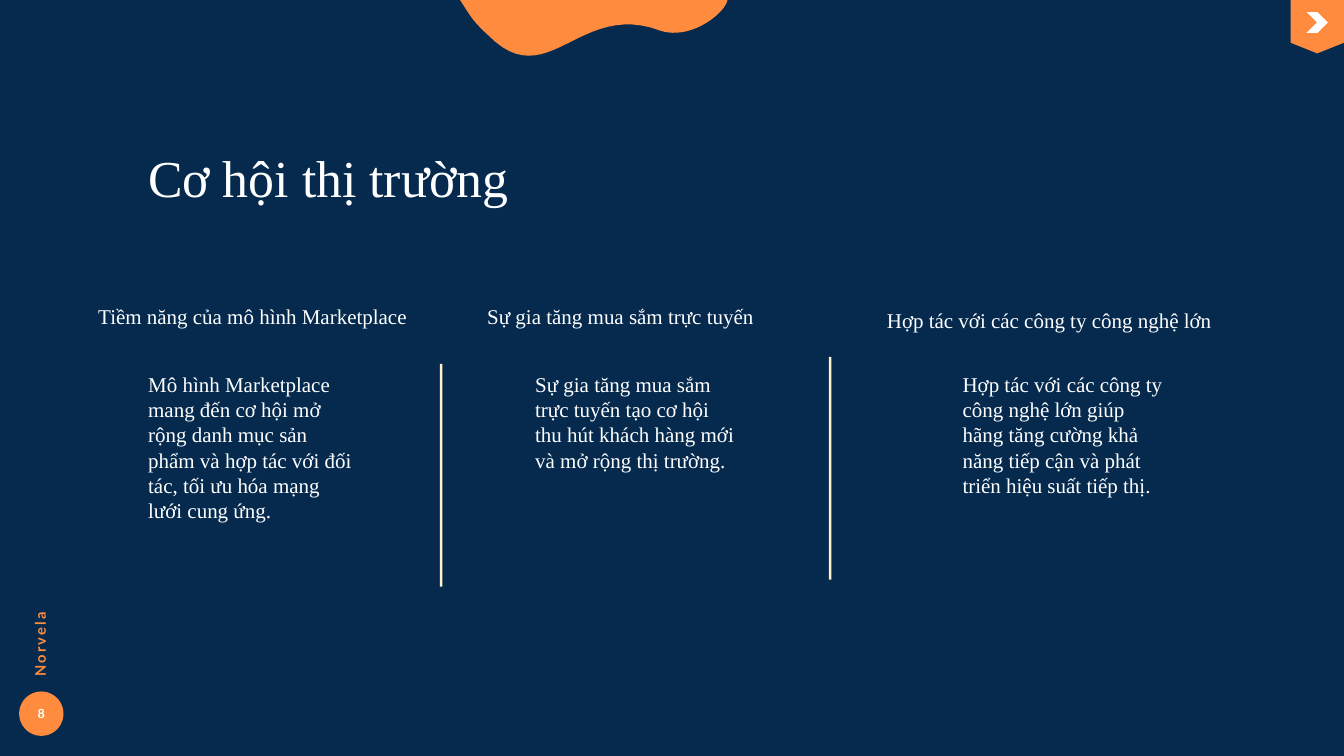
from dataclasses import dataclass

from pptx import Presentation
from pptx.dml.color import RGBColor
from pptx.enum.shapes import MSO_SHAPE
from pptx.enum.text import MSO_ANCHOR, MSO_AUTO_SIZE, PP_ALIGN
from pptx.util import Inches, Pt

TITLE_ONLY = 5
RECTANGLE = MSO_SHAPE.RECTANGLE
OVAL = MSO_SHAPE.OVAL
CHEVRON = MSO_SHAPE.CHEVRON
BOOKMARK = MSO_SHAPE.FLOWCHART_OFFPAGE_CONNECTOR
TOP, MIDDLE = MSO_ANCHOR.TOP, MSO_ANCHOR.MIDDLE
LEFT, CENTER = PP_ALIGN.LEFT, PP_ALIGN.CENTER
NO_FIT, GROW = MSO_AUTO_SIZE.NONE, MSO_AUTO_SIZE.SHAPE_TO_FIT_TEXT


@dataclass(frozen=True)
class Theme:
    navy: str = "052A4E"
    orange: str = "FF8C3E"
    cream: str = "FFF0CE"
    white: str = "FFFFFF"
    serif: str = "Times New Roman"
    sans: str = "Lato"
    title_size: int = 74
    text_size: int = 30
    label_size: int = 21
    number_size: int = 18


THEME = Theme()

# Heading, heading left and top, body, body left and width
COLUMNS = [
    ("Tiềm năng của mô hình Marketplace", 1.85, 6.03,
     "Mô hình Marketplace mang đến cơ hội mở rộng danh mục sản phẩm "
     "và hợp tác với đối tác, tối ưu hóa mạng lưới cung ứng.", 2.94, 4.11),
    ("Sự gia tăng mua sắm trực tuyến", 9.57, 6.03,
     "Sự gia tăng mua sắm trực tuyến tạo cơ hội thu hút khách hàng mới "
     "và mở rộng thị trường.", 10.62, 3.98),
    ("Hợp tác với các công ty công nghệ lớn", 17.5, 6.11,
     "Hợp tác với các công ty công nghệ lớn giúp hãng tăng cường khả năng "
     "tiếp cận và phát triển hiệu suất tiếp thị.", 19.1, 3.98),
]
DIVIDERS = [(8.73, 7.22), (16.45, 7.08)]

# Blob outline: each curve is two control points and an end point
BLOB_START = (14.44, -0.03)
BLOB_CURVES = [
    ((14.44, 0.22), (13.73, 0.81), (13.11, 0.61)),
    ((11.49, -0.01), (10.87, 1.91), (9.68, 0.69)),
    ((9.35, 0.39), (9.31, 0.27), (9.11, -0.03)),
]
CURVE_STEPS = 24


def paint(shape, color):
    shape.shadow.inherit = False
    shape.fill.solid()
    shape.fill.fore_color.rgb = RGBColor.from_string(color)
    shape.line.fill.background()


def add_block(slide, preset, left, top, width, height, color):
    block = slide.shapes.add_shape(
        preset, Inches(left), Inches(top), Inches(width), Inches(height))
    paint(block, color)
    return block


def write(shape, text, size, font=THEME.serif, color=THEME.white, bold=False,
          align=LEFT, anchor=TOP, margin=0.0, fit=NO_FIT, spacing=1.0):
    frame = shape.text_frame
    frame.text = text
    frame.word_wrap = True
    frame.auto_size = fit
    frame.vertical_anchor = anchor
    frame.margin_left = frame.margin_right = Inches(margin)
    frame.margin_top = frame.margin_bottom = Inches(margin / 2)
    paragraph = frame.paragraphs[0]
    paragraph.alignment = align
    paragraph.line_spacing = spacing
    paragraph.font.name = font
    paragraph.font.size = Pt(size)
    paragraph.font.bold = bold
    paragraph.font.color.rgb = RGBColor.from_string(color)
    return paragraph


def add_text(slide, left, top, width, height, text, size, **style):
    box = slide.shapes.add_textbox(
        Inches(left), Inches(top), Inches(width), Inches(height))
    write(box, text, size, **style)
    return box


def add_title(slide, text):
    title = slide.shapes.title
    title.left, title.top = Inches(2.94), Inches(2.9)
    title.width, title.height = Inches(10.08), Inches(2.52)
    write(title, text, THEME.title_size)


def curve_points(start, first, second, end):
    for step in range(1, CURVE_STEPS + 1):
        t = step / CURVE_STEPS
        u = 1 - t
        yield tuple(
            Inches(u**3 * a + 3 * u * u * t * b + 3 * u * t * t * c + t**3 * d)
            for a, b, c, d in zip(start, first, second, end))


def add_blob(slide):
    outline = []
    start = BLOB_START
    for curve in BLOB_CURVES:
        outline.extend(curve_points(start, *curve))
        start = curve[-1]
    builder = slide.shapes.build_freeform(*map(Inches, BLOB_START))
    builder.add_line_segments(outline, close=True)
    paint(builder.convert_to_shape(), THEME.orange)


def add_side_label(slide, text):
    label = add_text(slide, -0.13, 12.28, 1.89, 0.39, text, THEME.label_size,
                     font=THEME.sans, color=THEME.orange, bold=True)
    label.rotation = 270
    run = label.text_frame.paragraphs[0].runs[0]
    run.font.bold = True
    run.font._element.set("spc", "300")


def add_column(slide, heading, heading_left, heading_top, body, body_left, body_width):
    add_text(slide, body_left, 7.37, body_width, 3.03, body, THEME.text_size, fit=GROW)
    add_text(slide, heading_left, heading_top, 7.18, 1.66, heading,
             THEME.text_size, margin=0.1, spacing=0.9)


def main():
    deck = Presentation()
    deck.slide_width, deck.slide_height = Inches(26.67), Inches(15)
    slide = deck.slides.add_slide(deck.slide_layouts[TITLE_ONLY])
    slide.background.fill.solid()
    slide.background.fill.fore_color.rgb = RGBColor.from_string(THEME.navy)

    add_title(slide, "Cơ hội thị trường")

    # Corner bookmark and page number
    add_block(slide, BOOKMARK, 25.61, 0, 1.06, 1.06, THEME.orange)
    add_block(slide, CHEVRON, 25.93, 0.24, 0.42, 0.41, THEME.white)
    page_badge = add_block(slide, OVAL, 0.38, 13.72, 0.88, 0.88, THEME.orange)
    write(page_badge, "8", THEME.number_size, font=THEME.sans, bold=True,
          align=CENTER, anchor=MIDDLE, margin=0.1)

    # Side label and top decoration
    add_side_label(slide, "Norvela")
    add_blob(slide)

    # Three opportunities with dividers between them
    for column in COLUMNS:
        add_column(slide, *column)
    for left, top in DIVIDERS:
        add_block(slide, RECTANGLE, left, top, 0.05, 4.42, THEME.cream)

    deck.save("out.pptx")


if __name__ == "__main__":
    main()
